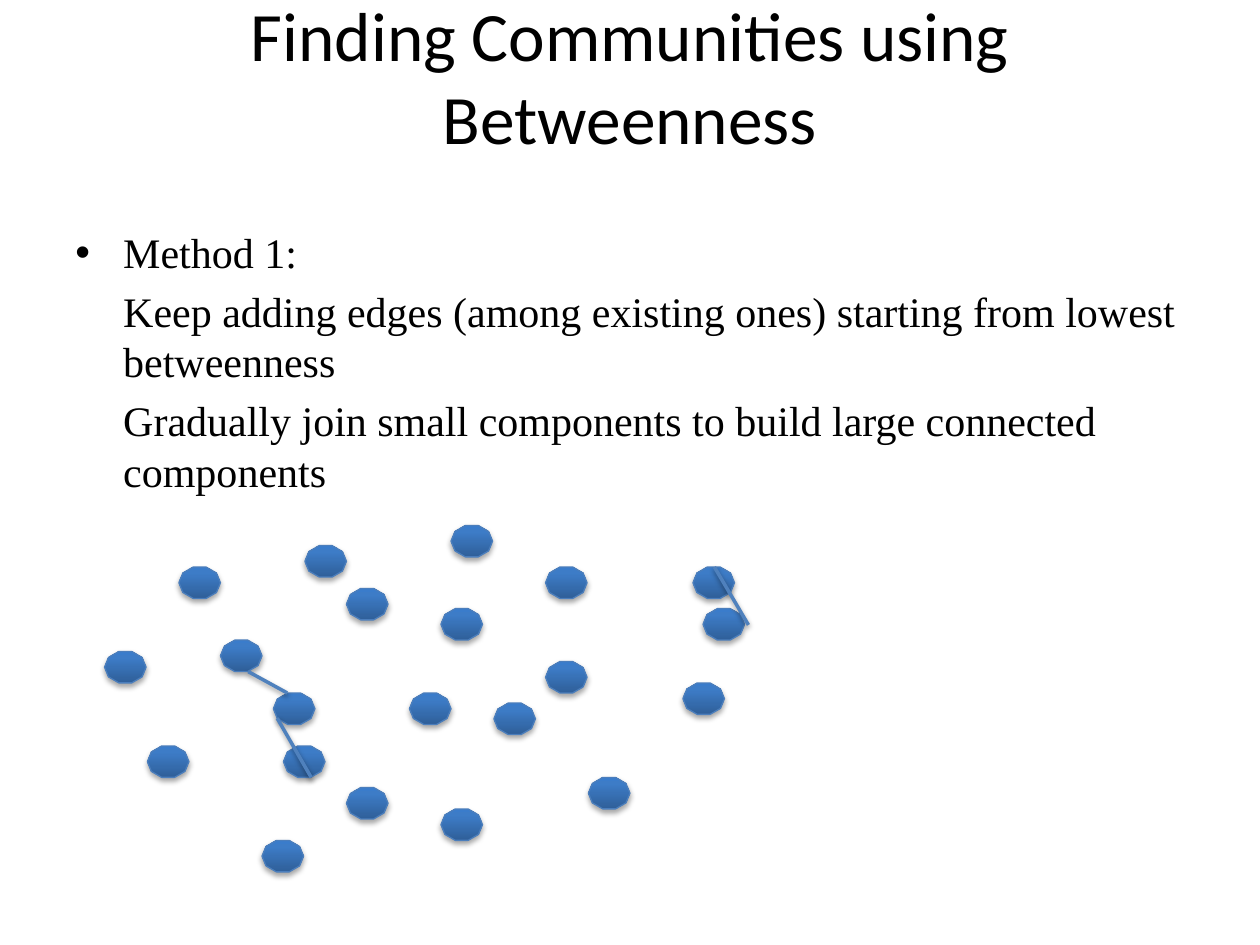
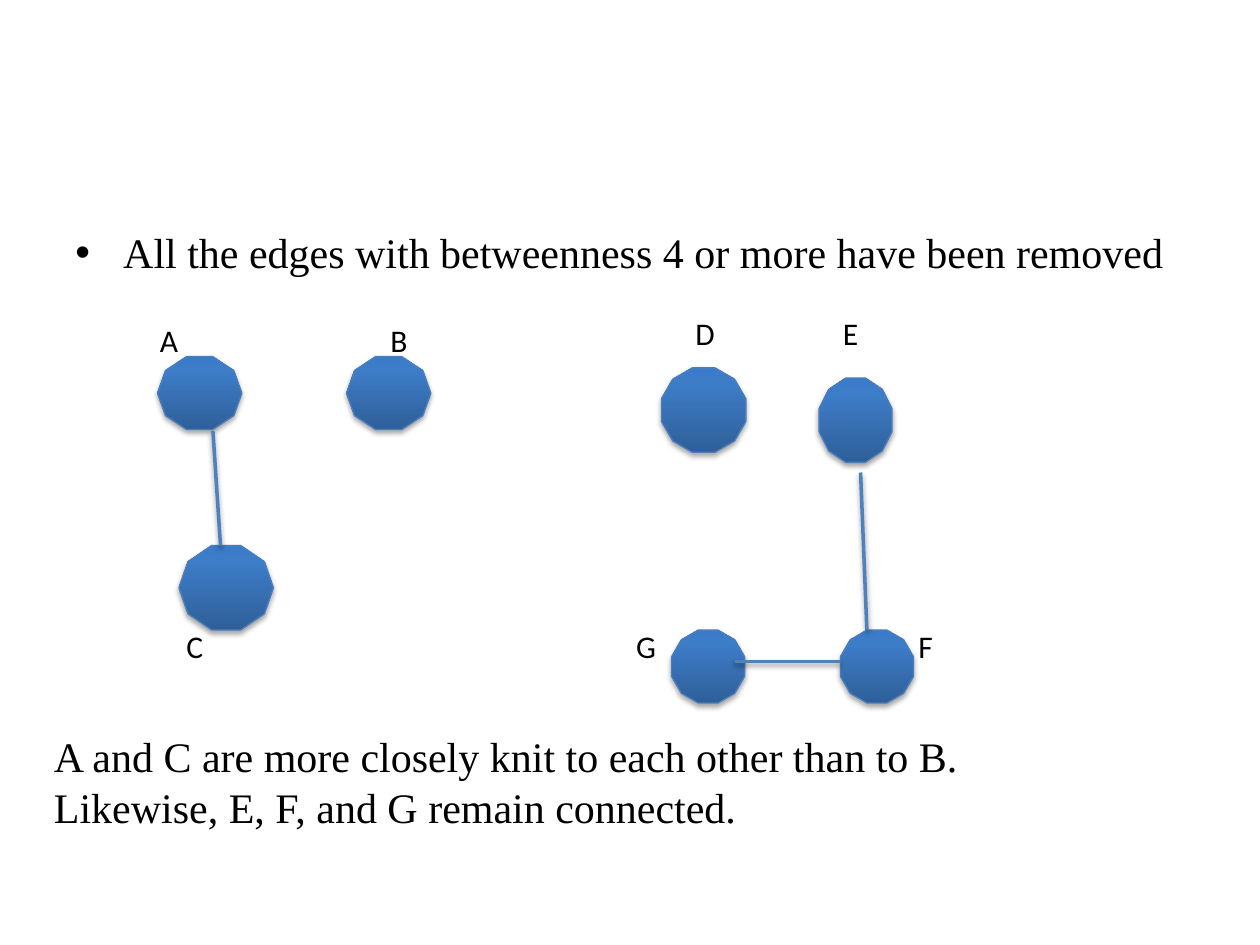
import copy
from dataclasses import dataclass

import lxml.etree
import pptx
import pptx.dml.color
import pptx.enum.shapes
import pptx.enum.text
import pptx.oxml.ns
import pptx.util

Inches = pptx.util.Inches
Pt = pptx.util.Pt
qn = pptx.oxml.ns.qn
RGB = pptx.dml.color.RGBColor.from_string
Preset = pptx.enum.shapes.MSO_SHAPE


@dataclass(frozen=True)
class Theme:
    text: str = "000000"
    node_stops: tuple = ((0, "2F5F99"), (0.8, "3D7CC7"), (1, "3A7CCB"))
    node_outline: str = "4B7EBC"
    edge: str = "4F81BD"
    node_outline_width: float = 0.75
    edge_width: float = 2
    heading_font: str = "Calibri"
    body_font: str = "Times New Roman"
    title_size: float = 39.6
    body_size: float = 24
    label_size: float = 18
    paragraph_gap: float = 4.8


THEME = Theme()


@dataclass(frozen=True)
class Node:
    left: float
    top: float
    width: float = 0.33
    height: float = 0.25
    preset: Preset = Preset.DECAGON


@dataclass(frozen=True)
class Edge:
    x1: float
    y1: float
    x2: float
    y2: float


@dataclass(frozen=True)
class Label:
    text: str
    left: float
    top: float


@dataclass(frozen=True)
class Line:
    text: str
    bullet: bool = False


SCATTERED_NODES = [Node(left, top) for left, top in (
    (1.17, 5.92), (1.75, 5.08), (2.42, 4.33), (1.42, 4.5), (2.17, 5.5),
    (2.75, 4.67), (0.83, 5.17), (2.75, 6.25), (2.08, 6.67), (2.25, 5.92),
    (3.58, 4.17), (3.5, 4.83), (3.25, 5.5), (5.58, 4.83), (4.33, 5.25),
    (4.33, 4.5), (3.92, 5.58), (3.5, 6.42), (5.5, 4.5), (5.42, 5.42),
    (4.67, 6.17),
)]
ADDED_EDGES = [
    Edge(2.47, 6.17, 2.2, 5.7),
    Edge(5.94, 4.96, 5.67, 4.5),
    Edge(2.28, 5.5, 1.97, 5.33),
]
METHOD_LINES = [
    Line("Method 1:", bullet=True),
    Line("Keep adding edges (among existing ones) starting from lowest betweenness"),
    Line("Gradually join small components to build large connected components"),
]

LETTERED_NODES = [
    Node(2.75, 2.83, 0.67, 0.58),
    Node(1.25, 2.83, 0.67, 0.58),
    Node(1.42, 4.33, 0.75, 0.67),
    Node(5.25, 2.92, 0.67, 0.67, Preset.DODECAGON),
    Node(6.5, 3, 0.58, 0.67, Preset.DODECAGON),
    Node(5.33, 5, 0.58, 0.58, Preset.DODECAGON),
    Node(6.67, 5, 0.58, 0.58, Preset.DODECAGON),
]
REMAINING_EDGES = [
    Edge(5.83, 5.25, 6.67, 5.25),
    Edge(1.69, 3.42, 1.75, 4.33),
    Edge(6.83, 3.75, 6.88, 5),
]
LETTERS = [
    Label("A", 1.17, 2.5), Label("B", 3, 2.5),
    Label("D", 5.42, 2.44), Label("E", 6.59, 2.44),
    Label("C", 1.38, 4.93), Label("G", 4.95, 4.93), Label("F", 7.19, 4.93),
]


def set_font(paragraph, name: str, size: float) -> None:
    paragraph.font.name = name
    paragraph.font.size = Pt(size)
    paragraph.font.color.rgb = RGB(THEME.text)


def add_shadow(properties, opacity: int, distance: float) -> None:
    """Put a soft downward shadow into a shape's properties."""
    effects = properties.find(qn("a:effectLst"))
    if effects is None:
        effects = lxml.etree.SubElement(properties, qn("a:effectLst"))
    shadow = lxml.etree.SubElement(
        effects, qn("a:outerShdw"), blurRad=str(Pt(3.1)), dist=str(Pt(distance)),
        dir="5400000", rotWithShape="0")
    colour = lxml.etree.SubElement(shadow, qn("a:srgbClr"), val="000000")
    lxml.etree.SubElement(colour, qn("a:alpha"), val=str(opacity * 1000))


def add_node(slide, node: Node) -> None:
    shape = slide.shapes.add_shape(
        node.preset, Inches(node.left), Inches(node.top),
        Inches(node.width), Inches(node.height))
    shape.fill.gradient()
    shape.fill.gradient_angle = 90
    stop_list = shape.element.spPr.find(qn("a:gradFill")).find(qn("a:gsLst"))
    stop_list.append(copy.deepcopy(stop_list[0]))
    for stop, (position, colour) in zip(shape.fill.gradient_stops, THEME.node_stops):
        stop.position = position
        stop.color.rgb = RGB(colour)
    shape.line.color.rgb = RGB(THEME.node_outline)
    shape.line.width = Pt(THEME.node_outline_width)
    shape.shadow.inherit = False
    add_shadow(shape.element.spPr, opacity=35, distance=1.8)


def add_edge(slide, edge: Edge) -> None:
    connector = slide.shapes.add_connector(
        pptx.enum.shapes.MSO_CONNECTOR.STRAIGHT,
        Inches(edge.x1), Inches(edge.y1), Inches(edge.x2), Inches(edge.y2))
    connector.line.color.rgb = RGB(THEME.edge)
    connector.line.width = Pt(THEME.edge_width)
    add_shadow(connector.element.spPr, opacity=38, distance=1.6)


def add_graph(slide, nodes: list[Node], edges: list[Edge]) -> None:
    for node in nodes:
        add_node(slide, node)
    for edge in edges:
        add_edge(slide, edge)


def add_text(slide, left: float, top: float, width: float, height: float,
             texts: list[str], font: str, size: float) -> list:
    """Add a wrapping text box and return its paragraphs."""
    frame = slide.shapes.add_textbox(
        Inches(left), Inches(top), Inches(width), Inches(height)).text_frame
    frame.word_wrap = True
    frame.text = "\n".join(texts)
    for paragraph in frame.paragraphs:
        set_font(paragraph, font, size)
    return list(frame.paragraphs)


def add_body(slide, lines: list[Line]) -> None:
    paragraphs = add_text(slide, 0.5, 1.75, 9, 4.95, [line.text for line in lines],
                          THEME.body_font, THEME.body_size)
    for index, (paragraph, line) in enumerate(zip(paragraphs, lines)):
        properties = paragraph._p.get_or_add_pPr()
        properties.set("marL", str(Inches(0.38)))
        properties.set("indent", str(Inches(-0.38 if line.bullet else 0)))
        if line.bullet:
            font = lxml.etree.Element(qn("a:buFont"), typeface="Arial")
            character = lxml.etree.Element(qn("a:buChar"), char="•")
            properties.insert(0, font)
            properties.insert(1, character)
        if index:
            paragraph.space_before = Pt(THEME.paragraph_gap)


def set_title(slide, text: str) -> None:
    title = slide.shapes.title
    title.left, title.top = Inches(0.5), Inches(0)
    title.width, title.height = Inches(9), Inches(1.2)
    frame = title.text_frame
    frame.text = text
    frame.word_wrap = True
    frame.auto_size = pptx.enum.text.MSO_AUTO_SIZE.NONE
    frame.vertical_anchor = pptx.enum.text.MSO_ANCHOR.MIDDLE
    heading = frame.paragraphs[0]
    heading.alignment = pptx.enum.text.PP_ALIGN.CENTER
    set_font(heading, THEME.heading_font, THEME.title_size)


def build_method_slide(deck) -> None:
    slide = deck.slides.add_slide(deck.slide_layouts.get_by_name("Title Only"))
    set_title(slide, "Finding Communities using Betweenness")
    add_body(slide, METHOD_LINES)
    add_graph(slide, SCATTERED_NODES, ADDED_EDGES)


def build_removal_slide(deck) -> None:
    slide = deck.slides.add_slide(deck.slide_layouts.get_by_name("Blank"))
    add_body(slide, [Line("All the edges with betweenness 4 or more have been removed",
                          bullet=True)])
    add_graph(slide, LETTERED_NODES, REMAINING_EDGES)
    for letter in LETTERS:
        add_text(slide, letter.left, letter.top, 0.58, 0.4, [letter.text],
                 THEME.heading_font, THEME.label_size)
    add_text(slide, 0.33, 5.75, 9.08, 0.91,
             ["A and C are more closely knit to each other than to B.",
              "Likewise, E, F, and G remain connected."],
             THEME.body_font, THEME.body_size)


def main() -> None:
    deck = pptx.Presentation()
    deck.slide_width, deck.slide_height = Inches(10), Inches(7.5)
    build_method_slide(deck)
    build_removal_slide(deck)
    deck.save("out.pptx")


if __name__ == "__main__":
    main()
